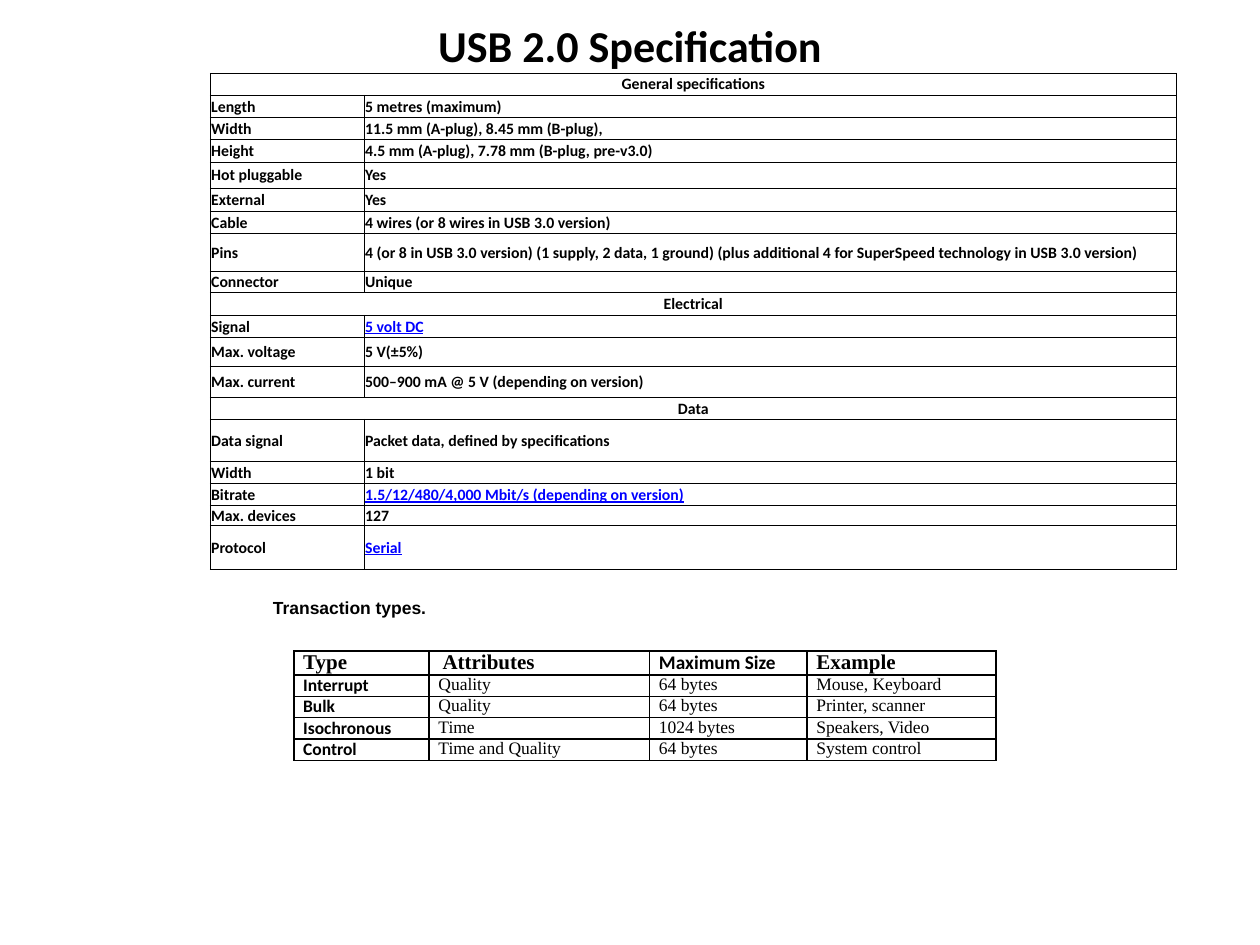
from lxml.etree import SubElement
from pptx import Presentation
from pptx.dml.color import RGBColor
from pptx.enum.text import MSO_ANCHOR, PP_ALIGN
from pptx.oxml.ns import qn
from pptx.util import Pt

COLORS = {"text": "000000", "link": "0000FF", "border": "000000"}
SANS, SERIF = "Calibri", "Times New Roman"

SPECS = [
    (12.6, "General specifications"),
    (12.6, "Length", "5 metres (maximum)"),
    (12.6, "Width", "11.5 mm (A-plug), 8.45 mm (B-plug),"),
    (13, "Height", "4.5 mm (A-plug), 7.78 mm (B-plug, pre-v3.0)"),
    (15, "Hot pluggable", "Yes"),
    (13, "External", "Yes"),
    (13, "Cable", "4 wires (or 8 wires in USB 3.0 version)"),
    (21.7, "Pins", "4 (or 8 in USB 3.0 version) (1 supply, 2 data, 1 ground) "
     "(plus additional 4 for SuperSpeed technology in USB 3.0 version)"),
    (12, "Connector", "Unique"),
    (13, "Electrical"),
    (12.6, "Signal", "5 volt DC"),
    (16.6, "Max. voltage", "5 V(±5%)"),
    (17.7, "Max. current", "500–900 mA @ 5 V (depending on version)"),
    (12.6, "Data"),
    (24, "Data signal", "Packet data, defined by specifications"),
    (12.6, "Width", "1 bit"),
    (12.6, "Bitrate", "1.5/12/480/4,000 Mbit/s (depending on version)"),
    (11.4, "Max. devices", "127"),
    (25.1, "Protocol", "Serial"),
]
LINKED = {"Signal", "Bitrate", "Protocol"}

TRANSACTIONS = [
    ("Type", " Attributes", "Maximum Size", "Example"),
    ("Interrupt", "Quality", "64 bytes", "Mouse, Keyboard"),
    ("Bulk", "Quality", "64 bytes", "Printer, scanner"),
    ("Isochronous", "Time", "1024 bytes", "Speakers, Video"),
    ("Control", "Time and Quality", "64 bytes", "System control"),
]


def write(tf, text, size, font=SANS, color="text", bold=True,
          underline=False, align=PP_ALIGN.LEFT):
    p = tf.paragraphs[0]
    p.text = text
    p.alignment = align
    f = p.font
    f.name, f.size, f.bold, f.underline = font, Pt(size), bold, underline
    f.color.rgb = RGBColor.from_string(COLORS[color])


def set_margins(box, left, top, right, bottom):
    box.margin_left, box.margin_top = Pt(left), Pt(top)
    box.margin_right, box.margin_bottom = Pt(right), Pt(bottom)


def set_borders(cell, width):
    tc_pr = cell._tc.get_or_add_tcPr()
    for side in ("a:lnL", "a:lnR", "a:lnT", "a:lnB"):
        ln = SubElement(tc_pr, qn(side), w=str(Pt(width)))
        fill = SubElement(ln, qn("a:solidFill"))
        SubElement(fill, qn("a:srgbClr"), val=COLORS["border"])


def add_grid(slide, left, top, widths, heights, border, margins, anchor):
    table = slide.shapes.add_table(
        len(heights), len(widths), Pt(left), Pt(top),
        Pt(sum(widths)), Pt(sum(heights))).table
    table.first_row = table.horz_banding = False
    for column, width in zip(table.columns, widths):
        column.width = Pt(width)
    for row, height in zip(table.rows, heights):
        row.height = Pt(height)
    for cell in table.iter_cells():
        set_borders(cell, border)
        cell.fill.background()
        set_margins(cell, *margins)
        cell.vertical_anchor = anchor
        cell.text_frame.paragraphs[0].font.size = Pt(9)
    return table


def add_title(slide, text):
    sp = slide.shapes.title
    sp.left, sp.top, sp.width, sp.height = Pt(36), Pt(12.2), Pt(648), Pt(26.6)
    tf = sp.text_frame
    tf.vertical_anchor = MSO_ANCHOR.MIDDLE
    write(tf, text, 25.2, align=PP_ALIGN.CENTER)


def add_specifications(slide):
    table = add_grid(slide, 120.2, 41.8, (88, 464), [row[0] for row in SPECS],
                     0.5, (0.5, 0.5, 0.5, 0), MSO_ANCHOR.MIDDLE)
    for r, (_, label, *values) in enumerate(SPECS):
        cell = table.cell(r, 0)
        if not values:
            cell.merge(table.cell(r, 1))
            write(cell.text_frame, label, 9, align=PP_ALIGN.CENTER)
            continue
        linked = label in LINKED
        write(cell.text_frame, label, 9)
        write(table.cell(r, 1).text_frame, values[0], 9,
              color="link" if linked else "text", underline=linked)


def add_transactions(slide):
    heights = [13.7] + [12.2] * (len(TRANSACTIONS) - 1)
    table = add_grid(slide, 168, 372, (77.3, 126, 90, 108), heights,
                     1, (5.3, 0, 5.3, 0), MSO_ANCHOR.TOP)
    for r, row in enumerate(TRANSACTIONS):
        for c, text in enumerate(row):
            header, sans = r == 0, (c == 2 if r == 0 else c == 0)
            size = (11 if sans else 12) if header else 10
            write(table.cell(r, c).text_frame, text, size,
                  SANS if sans else SERIF, bold=header or sans)


def add_label(slide, text):
    sp = slide.shapes.add_textbox(Pt(156), Pt(329.8), Pt(108), Pt(49))
    tf = sp.text_frame
    tf.word_wrap = True
    set_margins(tf, 0, 13, 0, 3)
    write(tf, text, 10, "Arial")


def main():
    prs = Presentation()
    prs.slide_width, prs.slide_height = Pt(720), Pt(540)
    slide = prs.slides.add_slide(prs.slide_layouts[5])
    add_title(slide, "USB 2.0 Specification")
    add_specifications(slide)
    add_transactions(slide)
    add_label(slide, "Transaction types.")
    prs.save("out.pptx")


if __name__ == "__main__":
    main()
